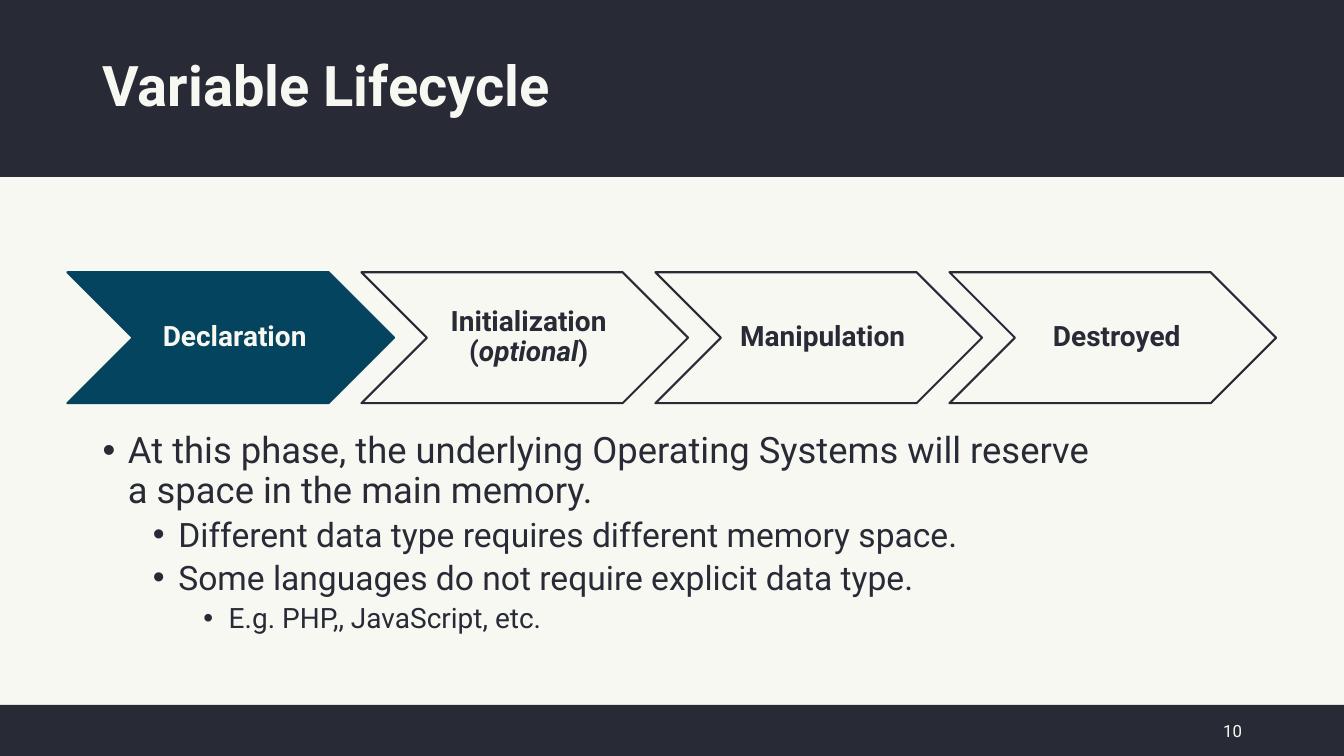
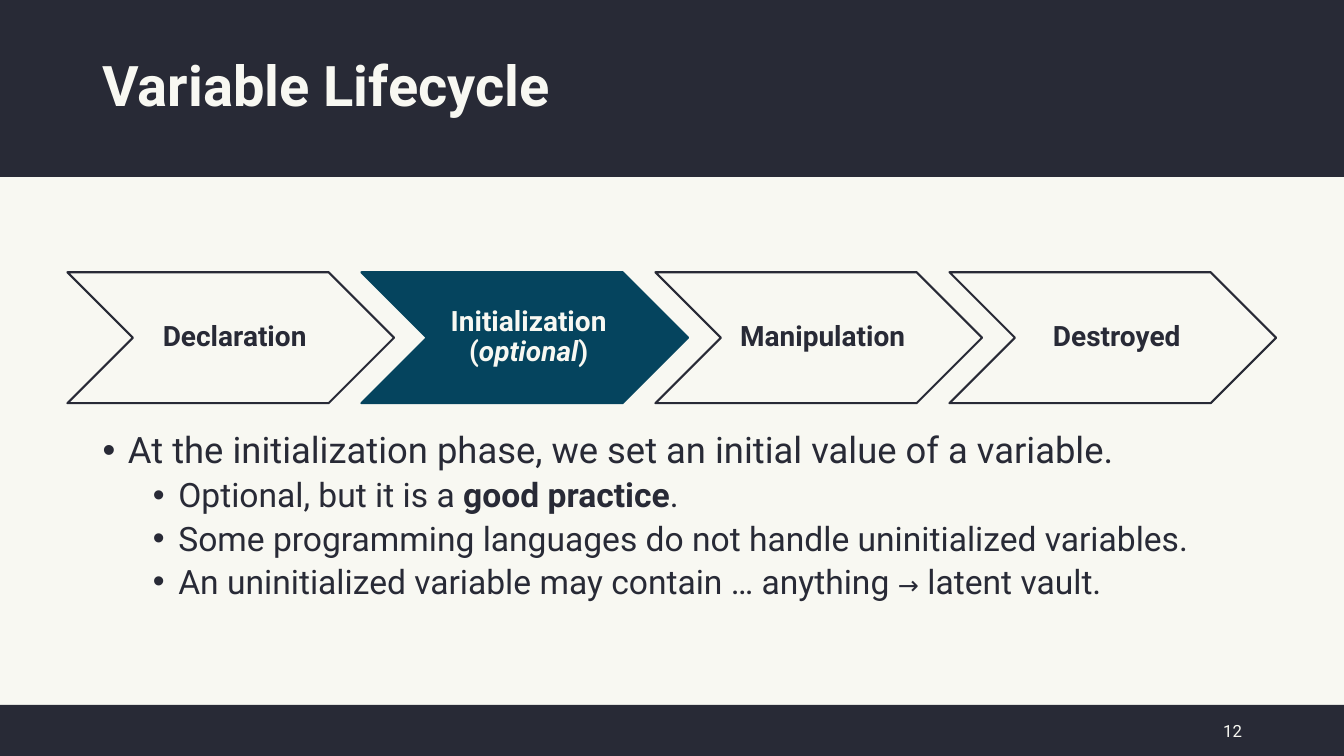
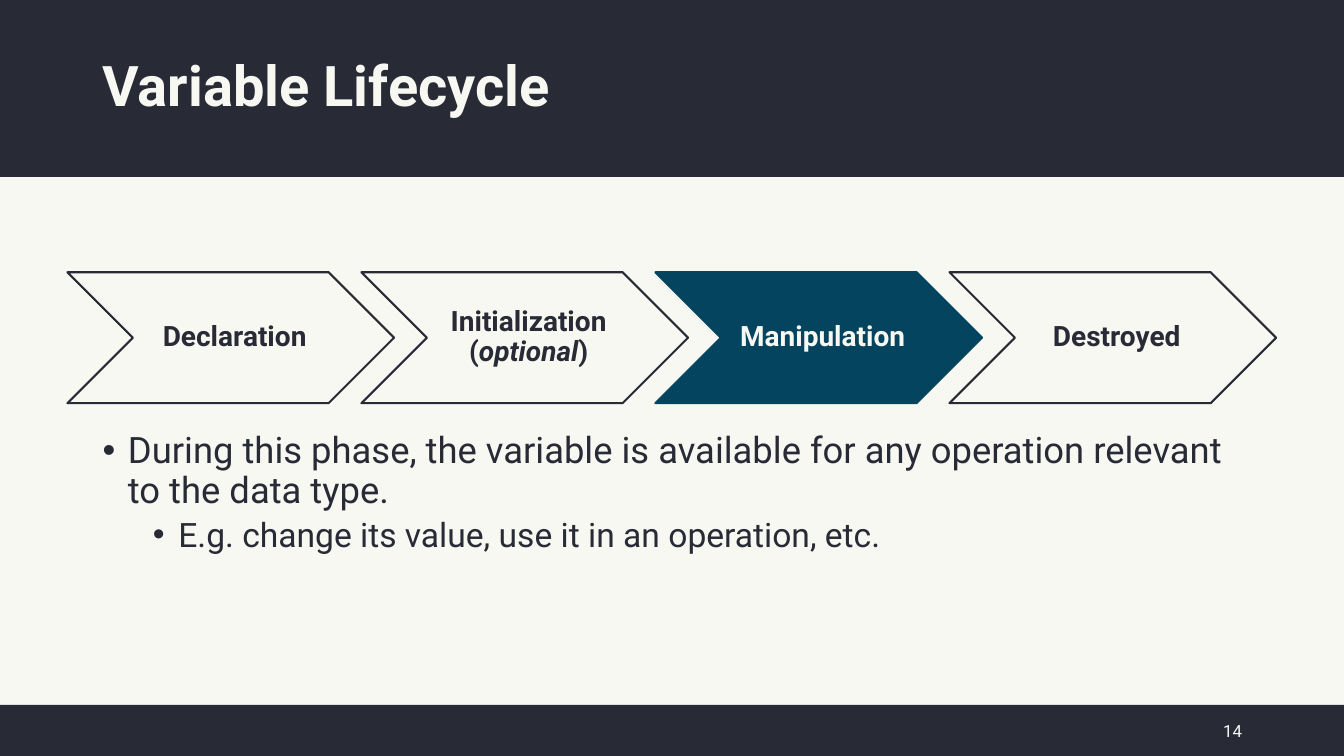
from lxml import etree
from pptx import Presentation
from pptx import util as u
from pptx.dml import color
from pptx.enum import shapes, text
from pptx.oxml import ns

COLORS = {"dark": "282A36", "paper": "F8F8F2", "accent": "05445E"}
FONT = "Roboto"
SLIDE_WIDTH, SLIDE_HEIGHT = 33.87, 19.05

HEADER_BOX = (0, 0, SLIDE_WIDTH, 4.46)
FOOTER_BOX = (0, 17.76, SLIDE_WIDTH, 1.29)
TITLE_BOX = (2.33, 0.38, 29.21, 3.68)
BODY_BOX = (2.33, 10.77, 29.21, 6.4)
NUMBER_BOX = (29.67, 17.91, 1.88, 1.01)
PHASES_BOX = (1.7, 6.86, 30.46, 3.3)

BULLET_SIZES = (26, 24, 20)
PHASES = (
    ("Declaration",),
    ("Initialization\n(", "optional", ")"),
    ("Manipulation",),
    ("Destroyed",),
)
PHASE_STEP = 0.9

SLIDES = (
    ("10", 0, (
        (0, ("At this phase, the underlying Operating Systems will reserve\n"
             "a space in the main memory.",)),
        (1, ("Different data type requires different memory space.",)),
        (1, ("Some languages do not require explicit data type.",)),
        (2, ("E.g. PHP,, JavaScript, etc.",)),
    )),
    ("12", 1, (
        (0, ("At the initialization phase, we set an initial value of a variable.",)),
        (1, ("Optional, but it is a ", "good practice", ".")),
        (1, ("Some programming languages do not handle uninitialized variables.",)),
        (1, ("An uninitialized variable may contain … anything ", "→", " latent vault.")),
    )),
    ("14", 2, (
        (0, ("During this phase, the variable is available for any operation "
             "relevant to the data type.",)),
        (1, ("E.g. change its value, use it in an operation, etc.",)),
    )),
)


def rgb(name):
    return color.RGBColor.from_string(COLORS[name])


def lengths(box):
    return [u.Cm(value) for value in box]


def place(shape, box):
    shape.left, shape.top, shape.width, shape.height = lengths(box)


def write(para, parts, size, ink, bold=False):
    para.text = parts[0]
    for part in parts[1:]:
        para.add_run().text = part
    for span in para.runs:
        span.font.name = FONT
        span.font.size = u.Pt(18 if span.text == "→" else size)
        span.font.color.rgb = rgb(ink)
        span.font.bold = bold or span.text == "good practice"
        span.font.italic = span.text == "optional"


def set_bullet(para, level):
    para.level = level
    properties = para._p.get_or_add_pPr()
    properties.set("marL", str(u.Cm(0.64 + 1.27 * level)))
    properties.set("indent", str(-u.Cm(0.64)))
    etree.SubElement(properties, ns.qn("a:buChar")).set("char", "•")


def add_bands(layout, page):
    for index, box in enumerate((HEADER_BOX, FOOTER_BOX)):
        band = page.shapes.add_shape(shapes.MSO_SHAPE.RECTANGLE, *lengths(box))
        band.shadow.inherit = False
        band.fill.solid()
        band.fill.fore_color.rgb = rgb("dark")
        band.line.fill.background()
        band.element.nvSpPr.cNvPr.id = 20 + index
        layout.shapes.element.insert(2 + index, band.element)


def style_layout(layout):
    layout.background.fill.solid()
    layout.background.fill.fore_color.rgb = rgb("paper")
    for holder, box in zip(layout.placeholders, (TITLE_BOX, BODY_BOX)):
        place(holder, box)


def add_title(page, title):
    frame = page.shapes.title.text_frame
    frame.auto_size = text.MSO_AUTO_SIZE.NONE
    frame.vertical_anchor = text.MSO_ANCHOR.MIDDLE
    para = frame.paragraphs[0]
    para.alignment = text.PP_ALIGN.LEFT
    para.line_spacing = 0.9
    write(para, (title,), 40, "paper", bold=True)


def add_bullets(page, bullets):
    frame = page.placeholders[1].text_frame
    frame.auto_size = text.MSO_AUTO_SIZE.NONE
    for index, (level, parts) in enumerate(bullets):
        para = frame.add_paragraph() if index else frame.paragraphs[0]
        set_bullet(para, level)
        para.line_spacing = 0.9
        para.space_before = u.Pt(5 if index else 0)
        write(para, parts, BULLET_SIZES[level], "dark")


def add_number(page, number, box):
    frame = page.shapes.add_textbox(*lengths(box)).text_frame
    frame.word_wrap = True
    frame.vertical_anchor = text.MSO_ANCHOR.MIDDLE
    para = frame.paragraphs[0]
    para.alignment = text.PP_ALIGN.RIGHT
    write(para, (number,), 12, "paper")


def add_phases(page, box, active):
    left, top, width, height = box
    phase_width = width / (1 + PHASE_STEP * (len(PHASES) - 1))
    for index, parts in enumerate(PHASES):
        phase_left = left + index * PHASE_STEP * phase_width
        phase = page.shapes.add_shape(
            shapes.MSO_SHAPE.CHEVRON, *lengths((phase_left, top, phase_width, height)))
        phase.shadow.inherit = False
        phase.line.width = u.Pt(1.5)
        if index == active:
            phase.fill.solid()
            phase.fill.fore_color.rgb = rgb("accent")
        else:
            phase.fill.background()
        phase.line.color.rgb = rgb("accent" if index == active else "dark")
        frame = phase.text_frame
        frame.word_wrap = True
        frame.vertical_anchor = text.MSO_ANCHOR.MIDDLE
        frame.margin_left, frame.margin_right = u.Cm(0.28), u.Cm(0.08)
        frame.margin_top = frame.margin_bottom = u.Cm(0.1)
        para = frame.paragraphs[0]
        para.alignment = text.PP_ALIGN.CENTER
        para.line_spacing = 0.9
        write(para, parts, 20, "paper" if index == active else "dark", bold=True)


def main():
    deck = Presentation()
    deck.slide_width, deck.slide_height = u.Cm(SLIDE_WIDTH), u.Cm(SLIDE_HEIGHT)
    layout = deck.slide_layouts[1]
    style_layout(layout)
    for number, active, bullets in SLIDES:
        page = deck.slides.add_slide(layout)
        add_title(page, "Variable Lifecycle")
        add_bullets(page, bullets)
        add_number(page, number, NUMBER_BOX)
        add_phases(page, PHASES_BOX, active)
    add_bands(layout, deck.slides[0])
    deck.save("out.pptx")


if __name__ == "__main__":
    main()
